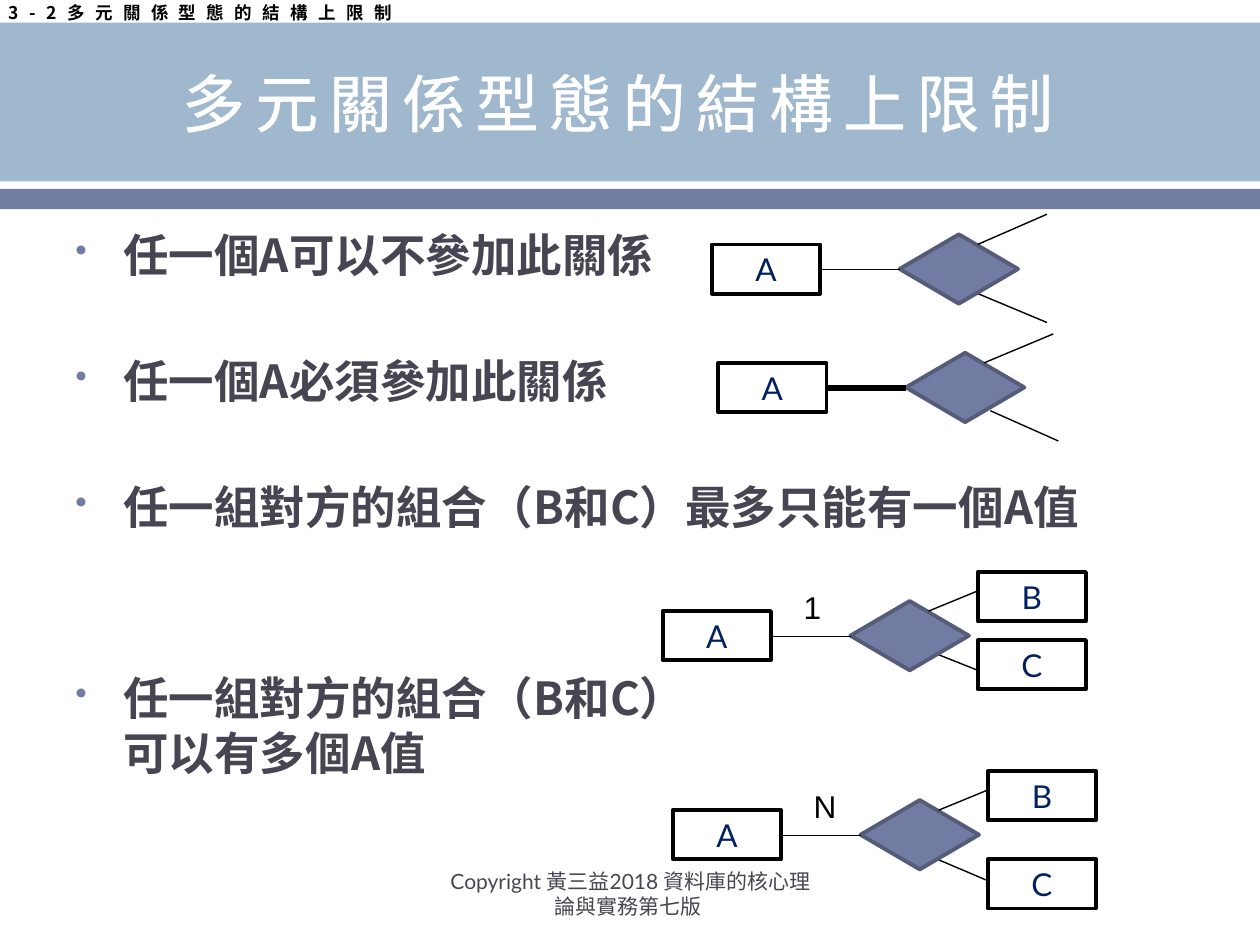
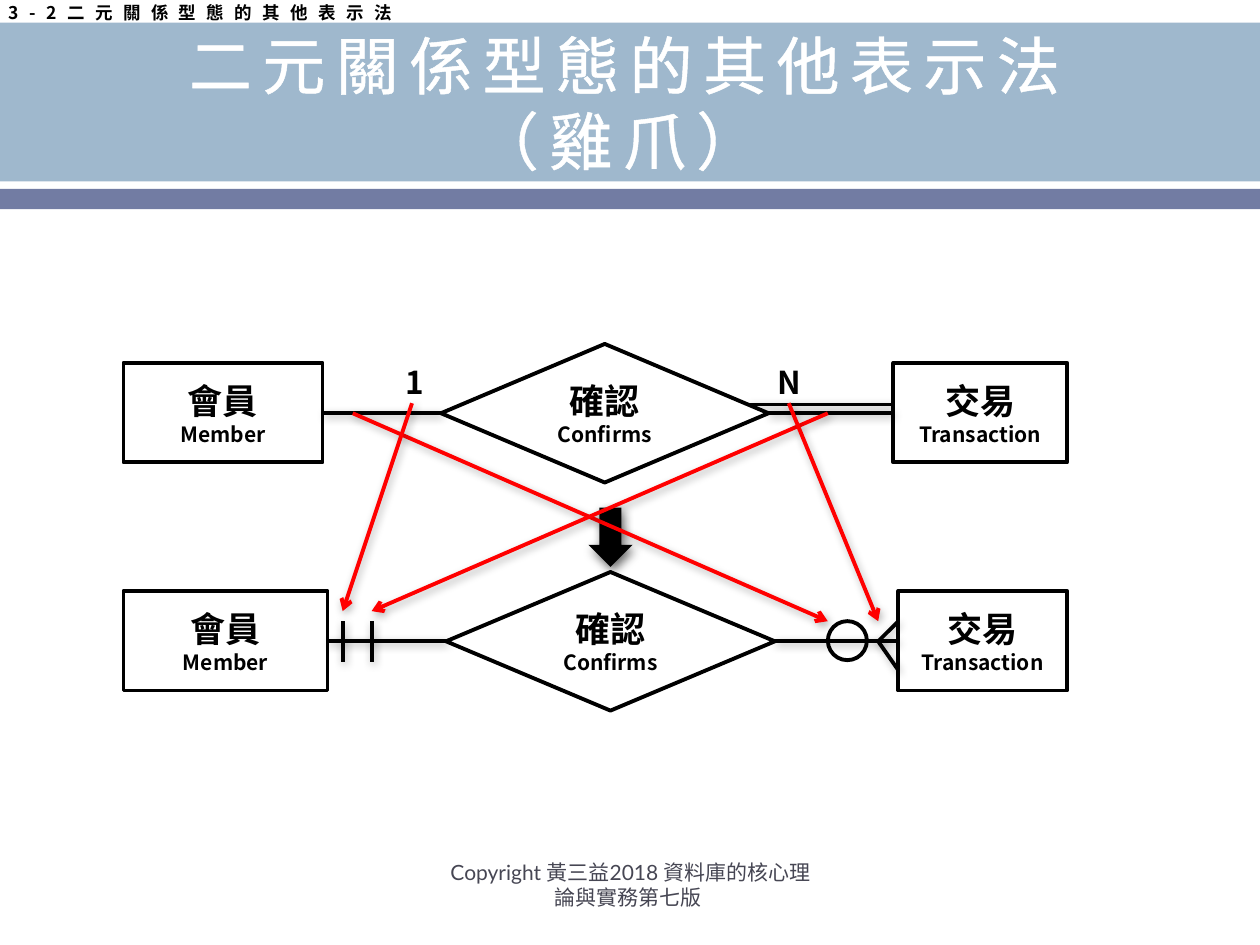
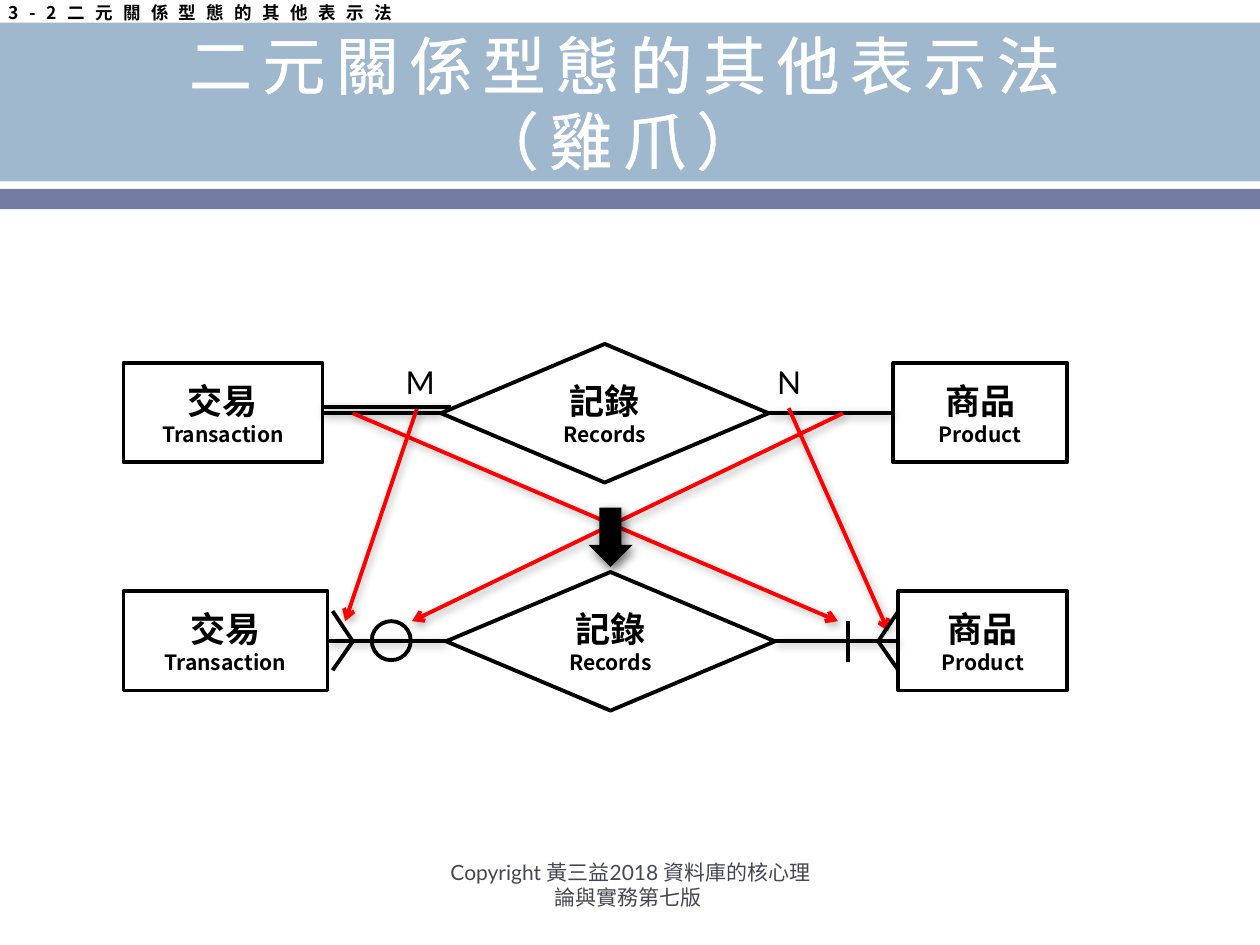
import dataclasses
import typing

import lxml.etree
import pptx
import pptx.dml.color
import pptx.enum.shapes
import pptx.enum.text
import pptx.oxml.ns
import pptx.util

Inches = pptx.util.Inches
Pt = pptx.util.Pt
SHAPES = pptx.enum.shapes.MSO_SHAPE
ALIGN = pptx.enum.text.PP_ALIGN
ANCHOR = pptx.enum.text.MSO_ANCHOR
qn = pptx.oxml.ns.qn


@dataclasses.dataclass(frozen=True)
class Theme:
    band: str = "9FB8CD"
    accent: str = "727CA3"
    accent_edge: str = "545C79"
    body: str = "464653"
    entity: str = "002060"
    black: str = "000000"
    white: str = "FFFFFF"
    mapping: str = "FF0000"
    cjk: str = "Noto Sans CJK SC"
    latin: str = "Lato"
    plain: str = "Arial"
    title_size: float = 36
    bullet_size: float = 26
    name_size: float = 20
    label_size: float = 18
    small_size: float = 12
    header_size: float = 10
    tracking: float = 6
    outline: float = 2.22
    thin: float = 0.79
    thick: float = 3


THEME = Theme()


class Box(typing.NamedTuple):
    left: float
    top: float
    width: float
    height: float


class Segment(typing.NamedTuple):
    x1: float
    y1: float
    x2: float
    y2: float


class Shadow(typing.NamedTuple):
    opacity: int
    blur: float
    distance: float
    angle: int = 60


class Bullet(typing.NamedTuple):
    text: str
    space_before: float


class Term(typing.NamedTuple):
    chinese: str
    english: str


LINE_SHADOW = Shadow(30, 5, 2)
ARROW_SHADOW = Shadow(60, 6, 3)


@dataclasses.dataclass(frozen=True)
class Relation:
    """A diamond with entity A on its left; offsets count from the diamond's corner."""
    left: float
    top: float
    upper_tip: tuple[float, float]
    lower_start: tuple[float, float]
    lower_tip: tuple[float, float]
    link_width: float = THEME.thin
    multiplicity: str = ""
    entity_c_offset: float = 0


@dataclasses.dataclass(frozen=True)
class Example:
    """One relationship in Chen notation above its crow's foot notation."""
    terms: tuple[Term, Term, Term]
    multiplicities: tuple[str, str]
    multiplicity_font: str
    multiplicity_bold: bool
    total_line: Segment
    mappings: tuple[Segment, ...]
    optional_circle: Box
    marks: tuple[Segment, ...]
    mark_shadow: Shadow | None
    overlays_on_top: bool


# Content
RELATIONS = (
    Relation(7.14, 1.86, (1.17, -0.16), (0.62, 0.47), (1.17, 0.7)),
    Relation(7.19, 2.8, (1.17, -0.15), (0.67, 0.46), (1.21, 0.7), THEME.thick),
    Relation(6.75, 4.77, (1.01, -0.08), (0.38, 0.3), (1.01, 0.55),
             multiplicity="1", entity_c_offset=0.31),
    Relation(6.83, 6.35, (1.01, -0.08), (0.61, 0.47), (1.01, 0.64),
             multiplicity="N", entity_c_offset=0.47),
)
BULLETS = (
    Bullet("任一個A可以不參加此關係", 0),
    Bullet("任一個A必須參加此關係", 41),
    Bullet("任一組對方的組合（B和C）最多只能有一個A值", 41),
    Bullet("任一組對方的組合（B和C）\v可以有多個A值", 78),
)
CHEN_ROW = (Box(0.98, 2.88, 1.58, 0.79), Box(3.5, 2.73, 2.6, 1.1), Box(7.09, 2.88, 1.38, 0.79))
CROW_ROW = (Box(0.98, 4.69, 1.62, 0.79), Box(3.54, 4.54, 2.61, 1.1), Box(7.13, 4.69, 1.34, 0.79))
CONFIRMS = Example(
    terms=(Term("會員", "Member"), Term("確認", "Confirms"), Term("交易", "Transaction")),
    multiplicities=("1", "N"), multiplicity_font=THEME.cjk, multiplicity_bold=True,
    total_line=Segment(5.94, 3.21, 7.09, 3.21),
    mappings=(Segment(2.8, 3.28, 6.57, 4.93), Segment(6.57, 3.28, 2.95, 4.85),
              Segment(6.26, 3.2, 6.97, 4.93), Segment(3.27, 3.2, 2.72, 4.85)),
    optional_circle=Box(6.57, 4.93, 0.31, 0.31),
    marks=(Segment(2.72, 4.93, 2.72, 5.25), Segment(2.95, 4.93, 2.95, 5.25),
           Segment(7.13, 4.93, 6.97, 5.09), Segment(6.97, 5.09, 7.13, 5.32)),
    mark_shadow=LINE_SHADOW, overlays_on_top=False,
)
RECORDS = Example(
    terms=(Term("交易", "Transaction"), Term("記錄", "Records"), Term("商品", "Product")),
    multiplicities=("M", "N"), multiplicity_font=THEME.latin, multiplicity_bold=False,
    total_line=Segment(2.55, 3.23, 3.58, 3.23),
    mappings=(Segment(2.8, 3.28, 6.65, 4.93), Segment(6.69, 3.28, 3.27, 4.93),
              Segment(3.31, 3.24, 2.74, 4.93), Segment(6.26, 3.24, 7.05, 5.01)),
    optional_circle=Box(2.95, 4.93, 0.31, 0.31),
    marks=(Segment(2.64, 4.85, 2.8, 5.09), Segment(2.8, 5.09, 2.64, 5.32),
           Segment(7.13, 4.85, 6.97, 5.09), Segment(6.97, 5.09, 7.13, 5.32),
           Segment(6.73, 4.93, 6.73, 5.25)),
    mark_shadow=None, overlays_on_top=True,
)


# Drawing helpers
def rgb(value: str) -> pptx.dml.color.RGBColor:
    return pptx.dml.color.RGBColor.from_string(value)


def add_xml(parent, tag: str, **attributes):
    return lxml.etree.SubElement(parent, qn(tag), {k: str(v) for k, v in attributes.items()})


def inches(values: typing.Iterable[float]) -> list[int]:
    return [Inches(value) for value in values]


def style(paragraph, size: float, color: str, font: str, bold: bool = False,
          align=ALIGN.LEFT, tracking: float = 0, outline: float = 0) -> None:
    paragraph.alignment = align
    paragraph.font.size = Pt(size)
    paragraph.font.bold = bold
    paragraph.font.color.rgb = rgb(color)
    paragraph.font.name = font
    properties = paragraph._p.pPr.find(qn("a:defRPr"))
    add_xml(properties, "a:ea", typeface=THEME.cjk)
    if tracking:
        properties.set("spc", str(int(tracking * 100)))
    if outline:
        edge = lxml.etree.Element(qn("a:ln"), w=str(Pt(outline)))
        add_xml(add_xml(edge, "a:solidFill"), "a:srgbClr", val=color)
        properties.insert(0, edge)


def set_shadow(shape, shadow: Shadow | None) -> None:
    effects = add_xml(shape.element.spPr, "a:effectLst")
    if shadow:
        outer = add_xml(effects, "a:outerShdw", blurRad=Pt(shadow.blur), dist=Pt(shadow.distance),
                        dir=shadow.angle * 60000, rotWithShape=0)
        color = add_xml(outer, "a:srgbClr", val=THEME.black)
        add_xml(color, "a:alpha", val=shadow.opacity * 1000)


def add_block(slide, kind, box: Box, fill: str | None = None, line: str | None = None,
              shadow: Shadow | None = None):
    block = slide.shapes.add_shape(kind, *inches(box))
    if fill:
        block.fill.solid()
        block.fill.fore_color.rgb = rgb(fill)
    else:
        block.fill.background()
    if line:
        block.line.color.rgb = rgb(line)
        block.line.width = Pt(THEME.outline)
    else:
        block.line.fill.background()
    if shadow:
        set_shadow(block, shadow)
    else:
        block.shadow.inherit = False
    return block


def add_line(slide, segment: Segment, width: float = THEME.outline, color: str = THEME.black,
             shadow: Shadow | None = None, arrow: bool = False) -> None:
    line = slide.shapes.add_connector(pptx.enum.shapes.MSO_CONNECTOR.STRAIGHT, *inches(segment))
    line.line.color.rgb = rgb(color)
    line.line.width = Pt(width)
    if arrow:
        add_xml(line.element.spPr.find(qn("a:ln")), "a:tailEnd", type="arrow")
    set_shadow(line, shadow)


def add_text(slide, box: Box, text: str, wrap: bool = True, anchor=ANCHOR.TOP, **look) -> None:
    frame = slide.shapes.add_textbox(*inches(box)).text_frame
    frame.word_wrap = wrap
    frame.vertical_anchor = anchor
    frame.text = text
    style(frame.paragraphs[0], **look)


# Parts shared by all slides
def add_base(deck, title: str, header: str, footer_top: float):
    slide = deck.slides.add_slide(deck.slide_layouts[5])
    add_block(slide, SHAPES.RECTANGLE, Box(0, 0.18, 10, 1.26), THEME.band)
    add_block(slide, SHAPES.RECTANGLE, Box(0, 1.5, 10, 0.16), THEME.accent)

    heading = slide.shapes.title
    heading.element.getparent().append(heading.element)
    heading.left, heading.top, heading.width, heading.height = inches(Box(0.5, 0.2, 9, 1.22))
    heading.text_frame.text = title
    heading.text_frame.vertical_anchor = ANCHOR.MIDDLE
    heading.text_frame.auto_size = pptx.enum.text.MSO_AUTO_SIZE.NONE
    style(heading.text_frame.paragraphs[0], THEME.title_size, THEME.white, THEME.cjk,
          align=ALIGN.CENTER, tracking=THEME.tracking, outline=1.1)

    add_text(slide, Box(-0.03, -0.03, 3.5, 0.44), header, wrap=False, size=THEME.header_size,
             color=THEME.black, font=THEME.cjk, bold=True, tracking=THEME.tracking)
    add_text(slide, Box(3.42, footer_top, 3.17, 0.4),
             "Copyright 黃三益2018 資料庫的核心理論與實務第七版 ", anchor=ANCHOR.MIDDLE,
             size=THEME.small_size, color=THEME.body, font=THEME.latin, align=ALIGN.CENTER)
    return slide


# Slide 1: bullets and ternary relations
def add_bullets(slide) -> None:
    frame = slide.shapes.add_textbox(*inches(Box(0.5, 1.75, 9, 4.95))).text_frame
    frame.word_wrap = True
    for index, bullet in enumerate(BULLETS):
        paragraph = frame.add_paragraph() if index else frame.paragraphs[0]
        paragraph.text = bullet.text
        if index:
            paragraph.space_before = Pt(bullet.space_before)
        properties = paragraph._p.get_or_add_pPr()
        properties.set("marL", str(Inches(0.38)))
        properties.set("indent", str(-Inches(0.38)))
        add_xml(add_xml(properties, "a:buClr"), "a:srgbClr", val=THEME.accent)
        add_xml(properties, "a:buSzPct", val=75000)
        add_xml(properties, "a:buChar", char="•")
        style(paragraph, THEME.bullet_size, THEME.body, THEME.cjk, bold=True)


def add_entity(slide, name: str, left: float, top: float) -> None:
    entity = add_block(slide, SHAPES.RECTANGLE, Box(left, top, 0.86, 0.39), line=THEME.black)
    entity.text_frame.text = name
    entity.text_frame.vertical_anchor = ANCHOR.MIDDLE
    style(entity.text_frame.paragraphs[0], THEME.label_size, THEME.entity, THEME.latin,
          align=ALIGN.CENTER)


def add_relation(slide, relation: Relation) -> None:
    x, y = relation.left, relation.top

    def branch(start: tuple[float, float], tip: tuple[float, float]) -> None:
        add_line(slide, Segment(x + start[0], y + start[1], x + tip[0], y + tip[1]), THEME.thin)

    branch(relation.lower_start, relation.lower_tip)
    add_block(slide, SHAPES.FLOWCHART_DECISION, Box(x, y, 0.94, 0.55),
              THEME.accent, THEME.accent_edge)
    branch((0.62, 0.08), relation.upper_tip)
    add_line(slide, Segment(x - 0.63, y + 0.28, x, y + 0.28), relation.link_width)
    add_entity(slide, "A", x - 1.49, y + 0.08)
    if relation.multiplicity:
        add_entity(slide, "B", x + 1.01, y - 0.23)
        add_entity(slide, "C", x + 1.01, y + relation.entity_c_offset)
        add_text(slide, Box(x - 0.47, y - 0.15, 0.38, 0.4), relation.multiplicity, wrap=False,
                 size=THEME.label_size, color=THEME.black, font=THEME.plain)


# Slides 2 and 3: Chen notation mapped to crow's foot
def add_row(slide, row: tuple[Box, Box, Box], terms: tuple[Term, Term, Term]) -> None:
    kinds = (SHAPES.RECTANGLE, SHAPES.DIAMOND, SHAPES.RECTANGLE)
    for kind, box, term in zip(kinds, row, terms):
        frame = add_block(slide, kind, box, THEME.white, THEME.black).text_frame
        frame.text = "\n".join(term)
        frame.vertical_anchor = ANCHOR.MIDDLE
        for paragraph, size in zip(frame.paragraphs, (THEME.name_size, THEME.small_size)):
            style(paragraph, size, THEME.black, THEME.cjk, bold=True, align=ALIGN.CENTER)
    middle = row[1].top + row[1].height / 2
    for before, after in zip(row, row[1:]):
        add_line(slide, Segment(before.left + before.width, middle, after.left, middle),
                 shadow=LINE_SHADOW)


def add_overlays(slide, example: Example) -> None:
    add_block(slide, SHAPES.DOWN_ARROW, Box(4.67, 4.03, 0.35, 0.47), THEME.black,
              shadow=ARROW_SHADOW)
    add_line(slide, example.total_line, shadow=LINE_SHADOW)


def add_example(slide, example: Example) -> None:
    if not example.overlays_on_top:
        add_overlays(slide, example)
    for row in (CHEN_ROW, CROW_ROW):
        add_row(slide, row, example.terms)
    for left, multiplicity in zip((3.12, 6.07), example.multiplicities):
        add_text(slide, Box(left, 2.83, 0.38, 0.4), multiplicity, size=THEME.label_size,
                 color=THEME.black, font=example.multiplicity_font,
                 bold=example.multiplicity_bold)
    for mapping in example.mappings:
        add_line(slide, mapping, color=THEME.mapping, shadow=LINE_SHADOW, arrow=True)
    if example.overlays_on_top:
        add_overlays(slide, example)
    add_block(slide, SHAPES.OVAL, example.optional_circle, line=THEME.black)
    for mark in example.marks:
        add_line(slide, mark, shadow=example.mark_shadow)


def main() -> None:
    deck = pptx.Presentation()
    deck.slide_width, deck.slide_height = Inches(10), Inches(7.5)

    constraints = add_base(deck, "多元關係型態的結構上限制 ", "3-2多元關係型態的結構上限制", 6.89)
    add_bullets(constraints)
    for relation in RELATIONS:
        add_relation(constraints, relation)

    for example in (CONFIRMS, RECORDS):
        slide = add_base(deck, "二元關係型態的其他表示法\v（雞爪） ",
                         "3-2二元關係型態的其他表示法", 6.82)
        add_example(slide, example)

    deck.save("out.pptx")


if __name__ == "__main__":
    main()
